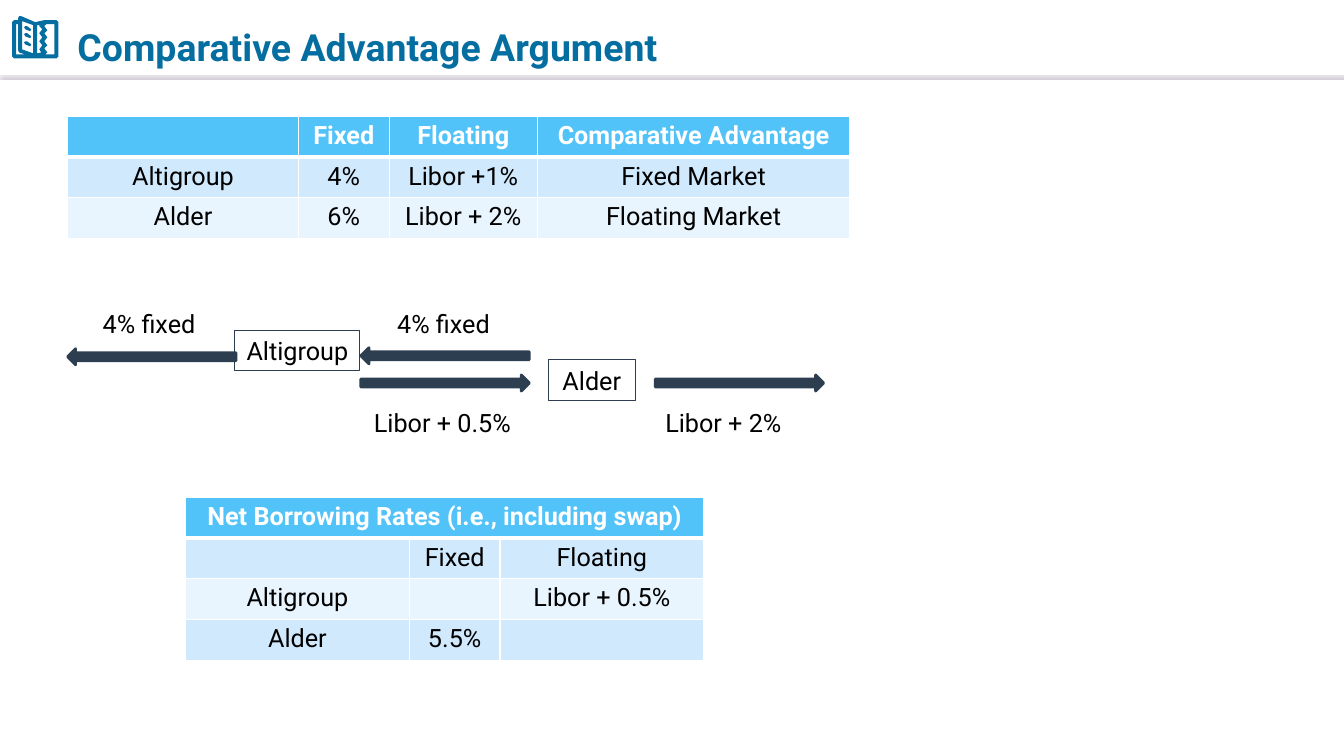
from lxml import etree
from pptx import Presentation
from pptx.dml.color import RGBColor
from pptx.enum import shapes, text
from pptx.oxml import parse_xml
from pptx.oxml.ns import nsdecls, qn
from pptx.util import Inches, Pt

TITLE_BLUE = RGBColor(0x05, 0x6E, 0xA0)
HEADER_BLUE = RGBColor(0x51, 0xC3, 0xF9)
BANDS = [RGBColor(0xD0, 0xE9, 0xFD), RGBColor(0xE9, 0xF5, 0xFE)]
NAVY = RGBColor(0x2C, 0x3E, 0x50)
WHITE = RGBColor(0xFF, 0xFF, 0xFF)
BLACK = RGBColor(0, 0, 0)
FONT = "Roboto"

prs = Presentation()
prs.slide_width, prs.slide_height = Inches(13.33), Inches(7.5)
slide = prs.slides.add_slide(prs.slide_layouts[6])


def write(tf, words, size=18, color=BLACK, bold=False, align=None):
    tf.text = words
    p = tf.paragraphs[0]
    p.alignment = align
    for r in p.runs:
        r.font.name, r.font.size, r.font.bold = FONT, Pt(size), bold
        r.font.color.rgb = color
    return p


def add_rate_table(left, top, widths, rows):
    frame = slide.shapes.add_table(len(rows), len(widths), Inches(left), Inches(top),
                                   Inches(sum(widths)), Inches(0.405 * len(rows)))
    table = frame.table
    for column, width in zip(table.columns, widths):
        column.width = Inches(width)
    for i, row in enumerate(rows):
        for j, words in enumerate(row):
            cell = table.cell(i, j)
            write(cell.text_frame, words, color=BLACK if i else WHITE,
                  bold=i == 0, align=text.PP_ALIGN.CENTER)
            cell.text_frame.paragraphs[0].font.size = Pt(18)
            # White borders, thicker between the header and the body
            tc_pr = cell._tc.get_or_add_tcPr()
            for side in ("L", "R", "T", "B"):
                thick = (i, side) in ((0, "B"), (1, "T"))
                tc_pr.append(parse_xml(
                    f'<a:ln{side} {nsdecls("a")} w="{Pt(3 if thick else 1)}"><a:solidFill>'
                    f'<a:srgbClr val="{WHITE}"/></a:solidFill></a:ln{side}>'))
            cell.fill.solid()
            cell.fill.fore_color.rgb = BANDS[(i - 1) % 2] if i else HEADER_BLUE
    return table


# Header rule with its soft shadow
rule = slide.shapes.add_connector(shapes.MSO_CONNECTOR.STRAIGHT, 0, Inches(0.73),
                                  Inches(13.33), Inches(0.73))
rule.line.color.rgb = WHITE
rule.line.width = Pt(0.75)
effects = etree.SubElement(rule._element.spPr, qn("a:effectLst"))
effects.append(parse_xml(
    f'<a:outerShdw {nsdecls("a")} blurRad="{Pt(1)}" dist="{Pt(3)}" dir="5400000" '
    'algn="t" rotWithShape="0"><a:srgbClr val="BCB4C4"/></a:outerShdw>'))

# Book icon, in hundredths of an inch: cover, page openings, text bars
book = [
    [(21, 16), (35, 22), (44, 20), (56, 20), (58, 22), (58, 56), (56, 58), (14, 58),
     (12, 56), (12, 22), (14, 20), (18, 20), (18, 18), (19, 16)],
    [(16, 24), (16, 54), (25, 54), (19, 52), (18, 50), (18, 24)],
    [(22, 21), (22, 49), (33, 53), (33, 25)],
    [(39, 25), (37, 25), (37, 53), (41, 52), (39, 49), (42, 45), (39, 41), (42, 37),
     (39, 33), (42, 29), (39, 26)],
    [(46, 24), (44, 26), (47, 30), (44, 33), (47, 37), (44, 41), (47, 45), (44, 48),
     (47, 52), (45, 54), (54, 54), (54, 24)],
]
for y in (26, 33, 41):
    book.append([(25, y), (27, y), (31, y + 3), (30, y + 5), (25, y + 3), (24, y + 1)])
builder = slide.shapes.build_freeform(*book[0][0], scale=Inches(0.01))
builder.add_line_segments(book[0][1:])
for contour in book[1:]:
    builder.move_to(*contour[0])
    builder.add_line_segments(contour[1:])
icon = builder.convert_to_shape()
icon.shadow.inherit = False
icon.fill.solid()
icon.fill.fore_color.rgb = TITLE_BLUE
icon.line.fill.background()

# Title
title = slide.shapes.add_textbox(Inches(0.67), Inches(0.06), Inches(8.57), Inches(0.63))
tf = title.text_frame
tf.word_wrap = True
tf.vertical_anchor = text.MSO_ANCHOR.MIDDLE
p = write(tf, "Comparative Advantage Argument", 26.7, TITLE_BLUE, True)
p.line_spacing = 1.4

# Market rates
add_rate_table(0.67, 1.15, [2.29, 0.9, 1.47, 3.1], [
    ["", "Fixed", "Floating", "Comparative Advantage"],
    ["Altigroup", "4%", "Libor +1%", "Fixed Market"],
    ["Alder", "6%", "Libor + 2%", "Floating Market"],
])

# Swap diagram: parties
for name, left, top, width in [("Altigroup", 2.33, 3.28, 1.24), ("Alder", 5.44, 3.57, 0.86)]:
    sp = slide.shapes.add_shape(shapes.MSO_SHAPE.RECTANGLE, Inches(left), Inches(top),
                                Inches(width), Inches(0.4))
    sp.shadow.inherit = False
    sp.fill.background()
    sp.line.color.rgb = NAVY
    sp.line.width = Pt(0.75)
    sp.text_frame.word_wrap = False
    write(sp.text_frame, name, align=text.PP_ALIGN.CENTER)

# Swap diagram: payment arrows
LEFT, RIGHT = shapes.MSO_SHAPE.LEFT_ARROW, shapes.MSO_SHAPE.RIGHT_ARROW
for kind, left, top in [(LEFT, 3.58, 3.45), (RIGHT, 3.58, 3.72),
                        (LEFT, 0.67, 3.46), (RIGHT, 6.5, 3.72)]:
    arrow = slide.shapes.add_shape(kind, Inches(left), Inches(top), Inches(1.67), Inches(0.16))
    arrow.shadow.inherit = False
    arrow.fill.solid()
    arrow.fill.fore_color.rgb = NAVY
    arrow.line.color.rgb = NAVY
    arrow.line.width = Pt(2)

# Swap diagram: rates paid
for words, left, top, width in [("4% fixed", 3.84, 3.01, 1.15), ("Libor + 0.5%", 3.61, 3.99, 1.61),
                                ("4% fixed", 0.92, 3.01, 1.15), ("Libor + 2%", 6.5, 3.99, 1.42)]:
    label = slide.shapes.add_textbox(Inches(left), Inches(top), Inches(width), Inches(0.4))
    label.text_frame.word_wrap = False
    write(label.text_frame, words)

# Net rates after the swap
net = add_rate_table(1.84, 4.93, [2.22, 0.9, 2.02], [
    ["Net Borrowing Rates (i.e., including swap)", "", ""],
    ["", "Fixed", "Floating"],
    ["Altigroup", "", "Libor + 0.5%"],
    ["Alder", "5.5%", ""],
])
net.cell(0, 0).merge(net.cell(0, 2))

prs.save("out.pptx")
